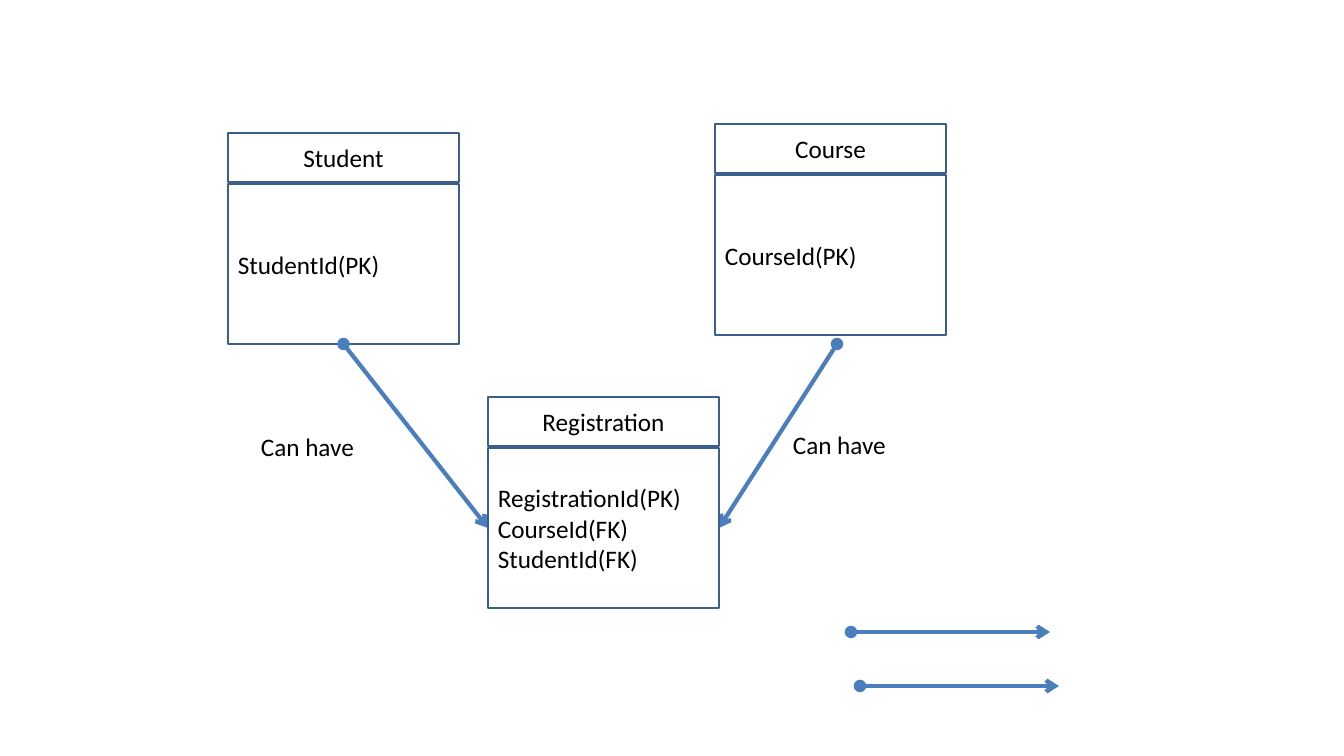
from lxml import etree
from pptx import Presentation
from pptx.dml.color import RGBColor
from pptx.enum.shapes import MSO_CONNECTOR, MSO_SHAPE
from pptx.enum.text import MSO_ANCHOR, MSO_AUTO_SIZE, PP_ALIGN
from pptx.oxml.ns import qn
from pptx.util import Pt

RECTANGLE = MSO_SHAPE.RECTANGLE
STRAIGHT = MSO_CONNECTOR.STRAIGHT
MIDDLE = MSO_ANCHOR.MIDDLE
FIT_SHAPE = MSO_AUTO_SIZE.SHAPE_TO_FIT_TEXT
LEFT, CENTER = PP_ALIGN.LEFT, PP_ALIGN.CENTER

BORDER = RGBColor(0x3A, 0x5F, 0x8C)
ARROW = RGBColor(0x4B, 0x7E, 0xBC)
BLACK = RGBColor(0, 0, 0)
FONT = "Calibri"
BOTTOM_SIDE, LEFT_SIDE, RIGHT_SIDE = 2, 1, 3

# name, attributes, left, top
STUDENT = ("Student", ["StudentId(PK)"], 228, 133)
COURSE = ("Course", ["CourseId(PK)"], 715, 124)
REGISTRATION = (
    "Registration",
    ["RegistrationId(PK)", "CourseId(FK)", "StudentId(FK)"],
    488, 397,
)
# start, end
COURSE_LINK = ((837, 344), (719, 528))
STUDENT_LINK = ((343, 344), (488, 528))
LEGEND_ARROWS = [((860, 686), (1059, 686)), ((851, 632), (1050, 632))]
STUDENT_LABEL = ("Can have", 251, 426)
COURSE_LABEL = ("Can have", 783, 424)

ENTITY_WIDTH, HEADER_HEIGHT, BODY_HEIGHT, BODY_OFFSET = 231, 49, 160, 51
LABEL_WIDTH, LABEL_HEIGHT = 115, 40


def px(length):
    return round(length * 914400 / 100.8)


def write(frame, lines, align):
    for index, line in enumerate(lines):
        paragraph = frame.add_paragraph() if index else frame.paragraphs[0]
        paragraph.alignment = align
        run = paragraph.add_run()
        run.text = line
        run.font.name = FONT
        run.font.size = Pt(18)
        run.font.color.rgb = BLACK


def add_entity(slide, name, attributes, left, top):
    """Draw a grouped entity and return its attribute box."""
    group = slide.shapes.add_group_shape()
    parts = [
        (attributes, top + BODY_OFFSET, BODY_HEIGHT, LEFT),
        ([name], top, HEADER_HEIGHT, CENTER),
    ]
    boxes = []
    for lines, part_top, height, align in parts:
        box = group.shapes.add_shape(
            RECTANGLE, px(left), px(part_top), px(ENTITY_WIDTH), px(height))
        box.shadow.inherit = False
        box.fill.background()
        box.line.color.rgb = BORDER
        box.line.width = Pt(2)
        box.text_frame.word_wrap = True
        box.text_frame.vertical_anchor = MIDDLE
        write(box.text_frame, lines, align)
        boxes.append(box)
    return boxes[0]


def add_arrow(slide, start, end):
    arrow = slide.shapes.add_connector(STRAIGHT, *map(px, start + end))
    arrow.line.color.rgb = ARROW
    arrow.line.width = Pt(3)
    outline = arrow.line._get_or_add_ln()
    etree.SubElement(outline, qn("a:headEnd"), type="oval")
    etree.SubElement(outline, qn("a:tailEnd"), type="arrow")
    etree.SubElement(arrow._element.spPr, qn("a:effectLst"))
    return arrow


def add_label(slide, text, left, top):
    label = slide.shapes.add_textbox(
        px(left), px(top), px(LABEL_WIDTH), px(LABEL_HEIGHT))
    label.text_frame.word_wrap = False
    label.text_frame.auto_size = FIT_SHAPE
    write(label.text_frame, [text], LEFT)


def main():
    prs = Presentation()
    prs.slide_width, prs.slide_height = px(1344), px(756)
    slide = prs.slides.add_slide(prs.slide_layouts[6])

    student = add_entity(slide, *STUDENT)
    add_entity(slide, *COURSE)
    course_link = add_arrow(slide, *COURSE_LINK)
    student_link = add_arrow(slide, *STUDENT_LINK)
    for start, end in LEGEND_ARROWS:
        add_arrow(slide, start, end)
    add_label(slide, *STUDENT_LABEL)
    registration = add_entity(slide, *REGISTRATION)
    add_label(slide, *COURSE_LABEL)

    student_link.begin_connect(student, BOTTOM_SIDE)
    student_link.end_connect(registration, LEFT_SIDE)
    course_link.end_connect(registration, RIGHT_SIDE)

    prs.save("out.pptx")


if __name__ == "__main__":
    main()
